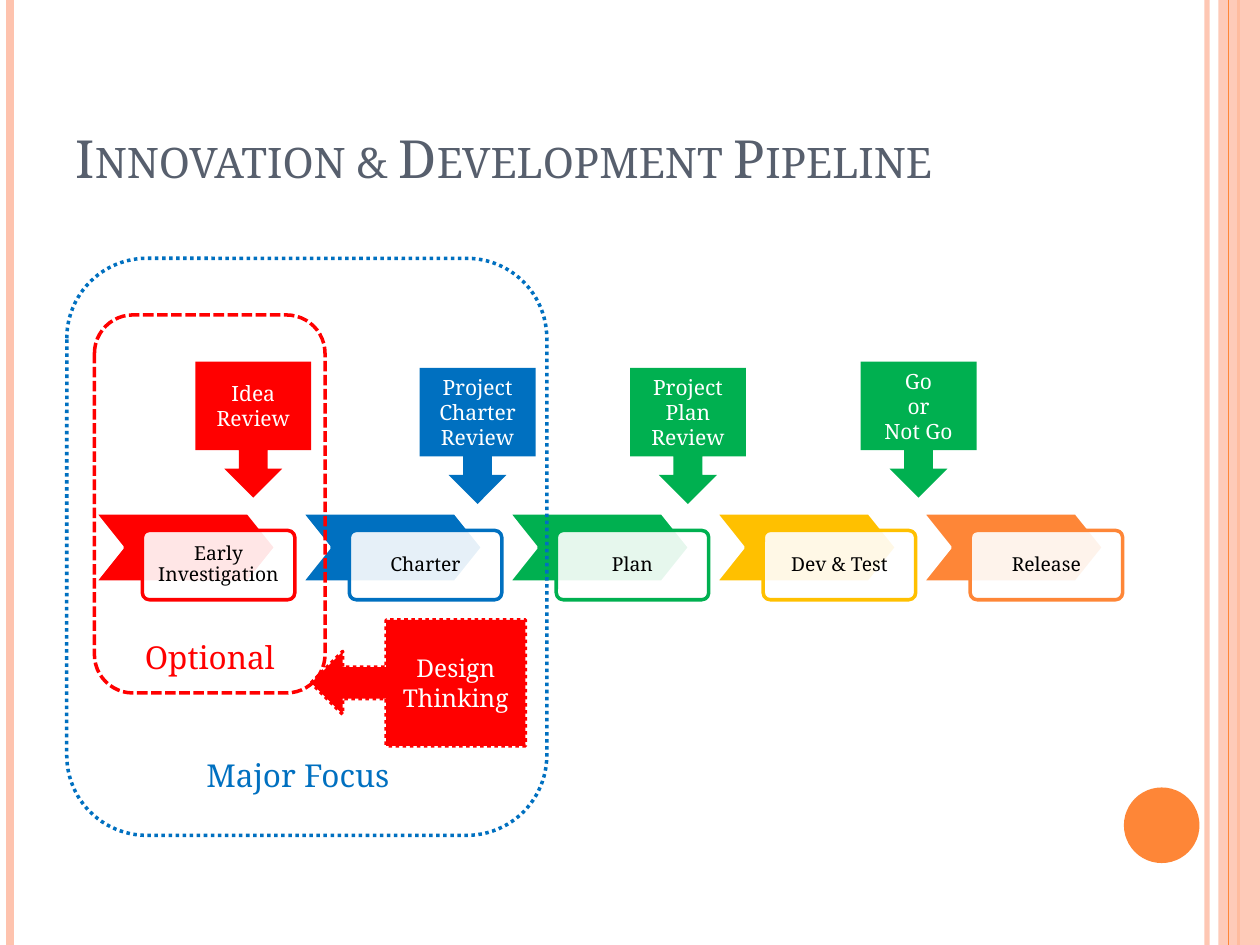
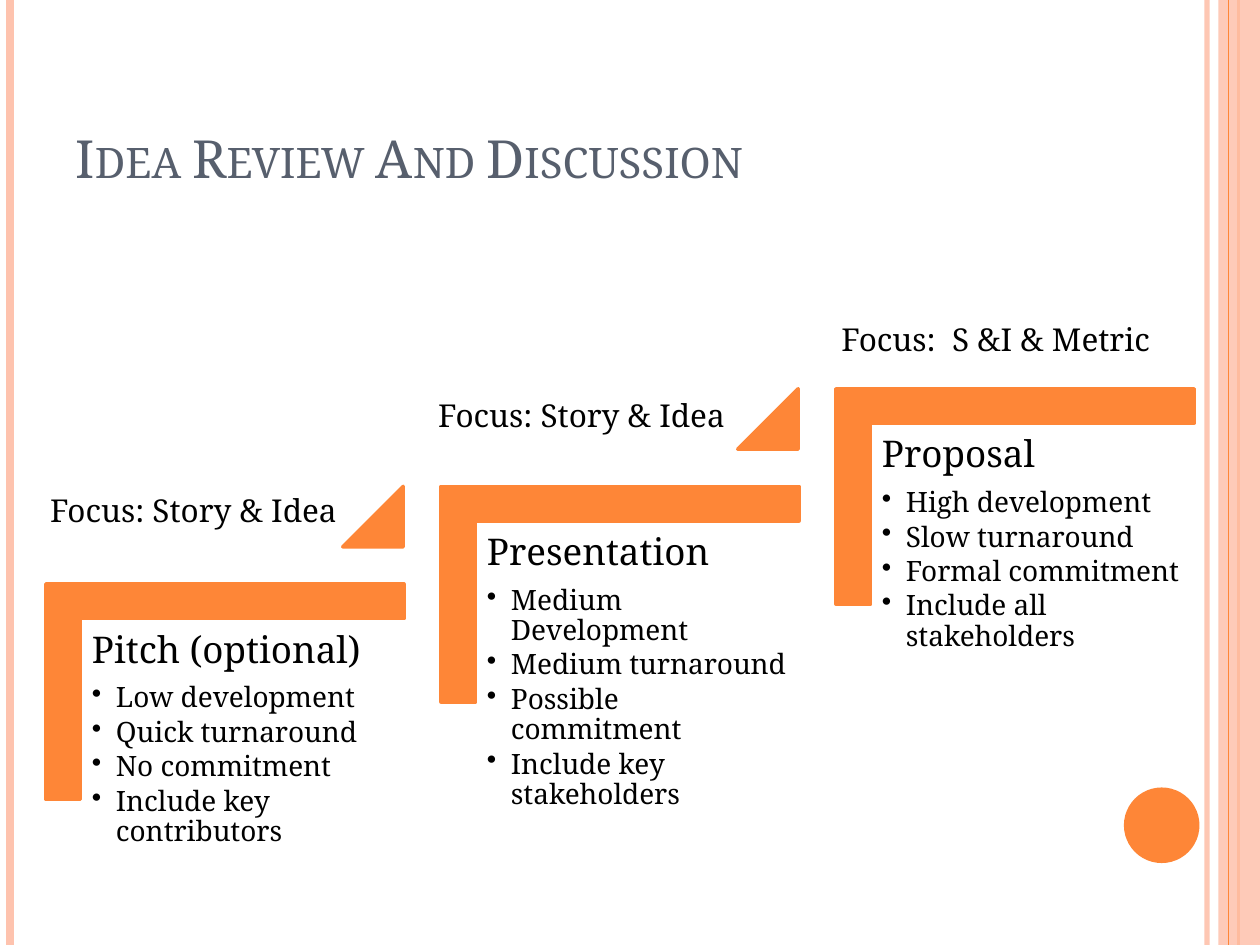
from pptx import Presentation
from pptx.dml.color import RGBColor
from pptx.enum.dml import MSO_LINE
from pptx.enum.shapes import MSO_CONNECTOR, MSO_SHAPE
from pptx.enum.text import MSO_ANCHOR, MSO_AUTO_SIZE, PP_ALIGN
from pptx.oxml.ns import qn
from pptx.util import Inches, Pt
from lxml import etree

ORANGE = RGBColor(0xFE, 0x86, 0x37)
PEACH = RGBColor(0xFE, 0xC3, 0xAE)
SLATE = RGBColor(0x57, 0x5F, 0x6D)
RED = RGBColor(0xFF, 0x00, 0x00)
BLUE = RGBColor(0x00, 0x70, 0xC0)
GREEN = RGBColor(0x00, 0xB0, 0x50)
GOLD = RGBColor(0xFF, 0xC0, 0x00)
WHITE = RGBColor(0xFF, 0xFF, 0xFF)
BLACK = RGBColor(0x00, 0x00, 0x00)

FONT = "Noto Serif"
DOTS, DASHES = MSO_LINE.ROUND_DOT, MSO_LINE.SQUARE_DOT
LEFT, CENTER = PP_ALIGN.LEFT, PP_ALIGN.CENTER
TOP, MIDDLE, BOTTOM = MSO_ANCHOR.TOP, MSO_ANCHOR.MIDDLE, MSO_ANCHOR.BOTTOM
RECT, OVAL, ROUND = MSO_SHAPE.RECTANGLE, MSO_SHAPE.OVAL, MSO_SHAPE.ROUNDED_RECTANGLE
CHEVRON, CORNER = MSO_SHAPE.CHEVRON, MSO_SHAPE.CORNER
WEDGE = MSO_SHAPE.ISOSCELES_TRIANGLE
DOWN, BACK = MSO_SHAPE.DOWN_ARROW_CALLOUT, MSO_SHAPE.LEFT_ARROW_CALLOUT
STRAIGHT = MSO_CONNECTOR.STRAIGHT


def fade(item, pct):
    """Make the first colour of a shape partly transparent."""
    tone = item.element.spPr.find(".//" + qn("a:srgbClr"))
    etree.SubElement(tone, qn("a:alpha")).set("val", str(pct * 1000))


def write(frame, text, size=18, color=BLACK, align=LEFT, anchor=TOP,
          pad=(0.1, 0.05, 0.1, 0.05), lead=None):
    """Fill a text frame, one paragraph for each line of text."""
    frame.word_wrap = True
    frame.auto_size = MSO_AUTO_SIZE.NONE
    frame.vertical_anchor = anchor
    (frame.margin_left, frame.margin_top,
     frame.margin_right, frame.margin_bottom) = map(Inches, pad)
    for n, line in enumerate(text.split("\n")):
        para = frame.add_paragraph() if n else frame.paragraphs[0]
        para.alignment = align
        if lead:
            para.line_spacing = lead
        run = para.add_run()
        run.text = line
        run.font.size, run.font.name = Pt(size), FONT
        run.font.color.rgb = color
    return frame.paragraphs


class Deck:
    def __init__(self):
        self.show = Presentation()
        self.show.slide_width, self.show.slide_height = Inches(10), Inches(7.5)
        self.base = self.show.slide_layouts[5]
        self.slide = None

    def page(self, title):
        self.slide = self.show.slides.add_slide(self.base)
        head = self.slide.shapes.title
        head.left, head.top = Inches(0.5), Inches(0.3)
        head.width, head.height = Inches(8.17), Inches(1.25)
        paras = write(head.text_frame, title, size=30, color=SLATE, anchor=BOTTOM)
        paras[0].runs[0]._r.get_or_add_rPr().set("cap", "small")

    def shape(self, kind, box, fill=None, line=None, width=2, dash=None, adj=()):
        item = self.slide.shapes.add_shape(kind, *map(Inches, box))
        item.shadow.inherit = False
        if fill is None:
            item.fill.background()
        else:
            item.fill.solid()
            item.fill.fore_color.rgb = fill
        if line is None:
            item.line.fill.background()
        else:
            item.line.color.rgb, item.line.width = line, Pt(width)
            if dash:
                item.line.dash_style = dash
        for n, value in enumerate(adj):
            item.adjustments[n] = value
        return item

    def rule(self, x, color, width):
        item = self.slide.shapes.add_connector(
            STRAIGHT, Inches(x), 0, Inches(x), Inches(7.5))
        item.line.color.rgb, item.line.width = color, Pt(width)
        etree.SubElement(item.element.spPr, qn("a:effectLst"))
        return item

    def label(self, box, text, **style):
        item = self.slide.shapes.add_textbox(*map(Inches, box))
        return write(item.text_frame, text, **style)

    def bands(self):
        """Draw the side bands and move them to the shared layout."""
        edge = self.rule(9.58, PEACH, 3)
        fade(edge, 93)
        parts = [edge, self.rule(0.08, PEACH, 4.5), self.rule(9.83, ORANGE, 1.5)]
        side = self.shape(RECT, (9.67, 0, 0.33, 7.5), PEACH)
        fade(side, 87)
        parts += [side, self.rule(9.75, ORANGE, 0.75),
                  self.shape(OVAL, (8.92, 6.25, 0.6, 0.6), ORANGE)]
        for n, item in enumerate(parts, 20):
            item.element[0][0].set("id", str(n))
            self.base.shapes.element.append(item.element)

    def stage(self, x, name, color):
        self.shape(CHEVRON, (x, 4.07, 1.44, 0.55), color, WHITE, adj=[0.4])
        card = self.shape(ROUND, (x + 0.38, 4.21, 1.21, 0.55), WHITE, color, adj=[0.1])
        fade(card, 90)
        write(card.text_frame, name, size=11, align=CENTER, anchor=MIDDLE,
              pad=[0.09] * 4, lead=0.9)

    def callout(self, kind, box, text, color, size=12, **line):
        item = self.shape(kind, box, color, **line)
        write(item.text_frame, text, size=size, color=WHITE, align=CENTER, anchor=MIDDLE)

    def zone(self, box, text, color, dash, pad):
        item = self.shape(ROUND, box, line=color, dash=dash)
        write(item.text_frame, text, color=color, align=CENTER, anchor=BOTTOM, pad=pad)

    def step(self, x, y, text):
        # The corner is laid out upright, then turned a quarter
        turn = self.shape(CORNER, (x + 0.29, y - 0.85, 1.71, 2.84), ORANGE, ORANGE,
                          adj=[0.161, 0.161])
        turn.rotation = 90
        head, *items = self.label((x, y, 2.56, 2.25), text, size=16,
                                  pad=[0.09] * 4, lead=0.9)
        head.runs[0].font.size, head.space_after = Pt(21), Pt(7.35)
        for para in items:
            para.space_after = Pt(2.4)
            props = para._p.get_or_add_pPr()
            props.set("marL", str(Inches(0.19)))
            props.set("indent", str(Inches(-0.19)))
            etree.SubElement(props, qn("a:buChar")).set("char", "•")


deck = Deck()

# Pipeline: stages, reviews and focus zones
deck.page("Innovation & Development Pipeline")
deck.bands()
stages = [("Early Investigation", RED), ("Charter", BLUE), ("Plan", GREEN),
          ("Dev & Test", GOLD), ("Release", ORANGE)]
for n, (name, color) in enumerate(stages):
    deck.stage(0.75 + 1.6425 * n, name, color)

for x, y, text, color in [(3.33, 2.92, "Project\nCharter\nReview", BLUE),
                          (5, 2.92, "Project\nPlan\nReview", GREEN),
                          (6.83, 2.87, "Go\nor\nNot Go", GREEN),
                          (1.55, 2.87, "Idea\nReview", RED)]:
    deck.callout(DOWN, (x, y, 0.92, 1.08), text, color)

deck.zone((0.53, 2.05, 3.81, 4.58), "Major Focus", BLUE, DOTS, (0.1, 0.05, 0.24, 0.14))
deck.zone((0.75, 2.5, 1.83, 3), "Optional", RED, DASHES, (0.1, 0.05, 0.1, 0.05))
deck.callout(BACK, (2.47, 4.92, 1.7, 1), "Design\nThinking", RED, size=14,
             line=RED, dash=DOTS)

# Idea review: three rising steps
deck.page("Idea Review And Discussion")
steps = [
    "Pitch (optional)\nLow development\nQuick turnaround\nNo commitment\n"
    "Include key contributors",
    "Presentation\nMedium Development\nMedium turnaround\nPossible commitment\n"
    "Include key stakeholders",
    "Proposal\nHigh development\nSlow turnaround\nFormal commitment\n"
    "Include all stakeholders",
]
for n, text in enumerate(steps):
    x, y = 0.64 + 3.135 * n, 4.92 - 0.775 * n
    deck.step(x, y, text)
    if n < len(steps) - 1:
        deck.shape(WEDGE, (x + 2.08, y - 1.06, 0.48, 0.48), ORANGE, ORANGE, adj=[1])

for x, y, width, text in [(0.3, 3.85, 2.74, "Focus: Story & Idea"),
                          (6.58, 2.49, 2.92, "Focus:  S &I & Metric"),
                          (3.38, 3.09, 2.74, "Focus: Story & Idea")]:
    deck.label((x, y, width, 0.4), text)

deck.show.save("out.pptx")
